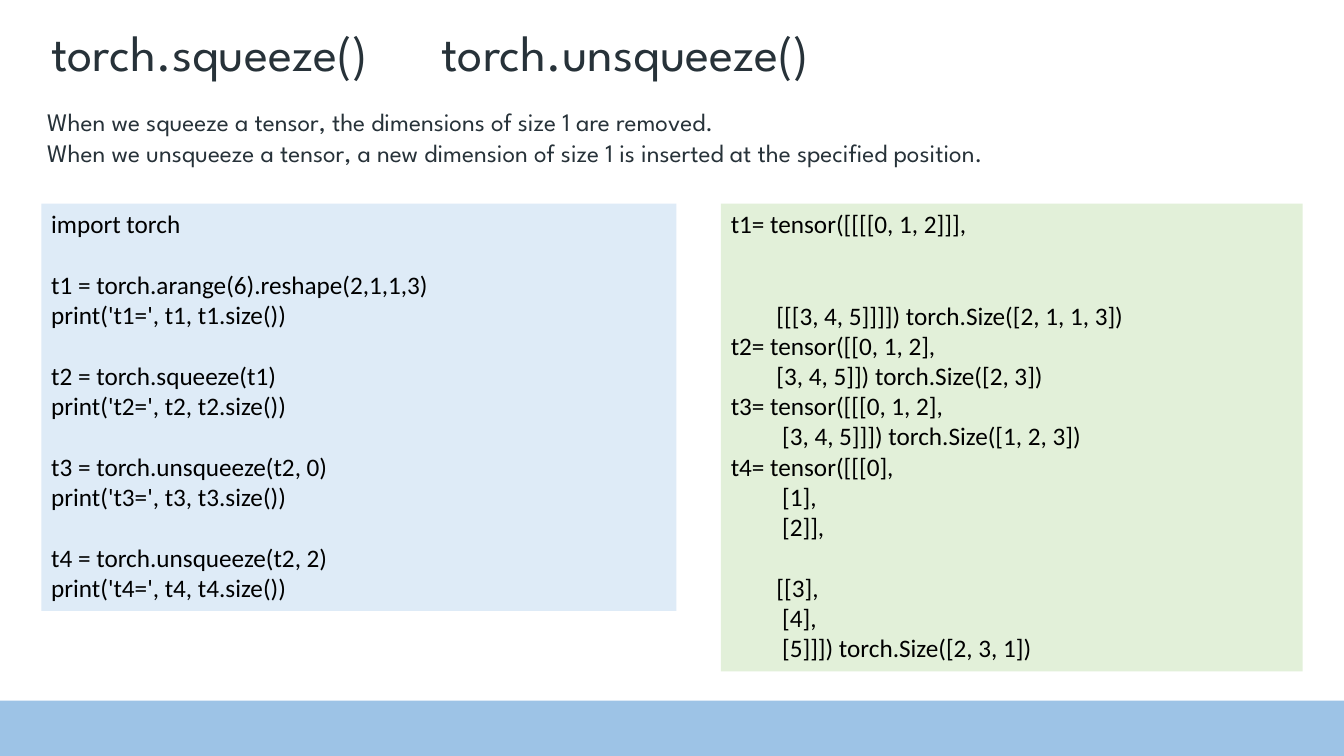
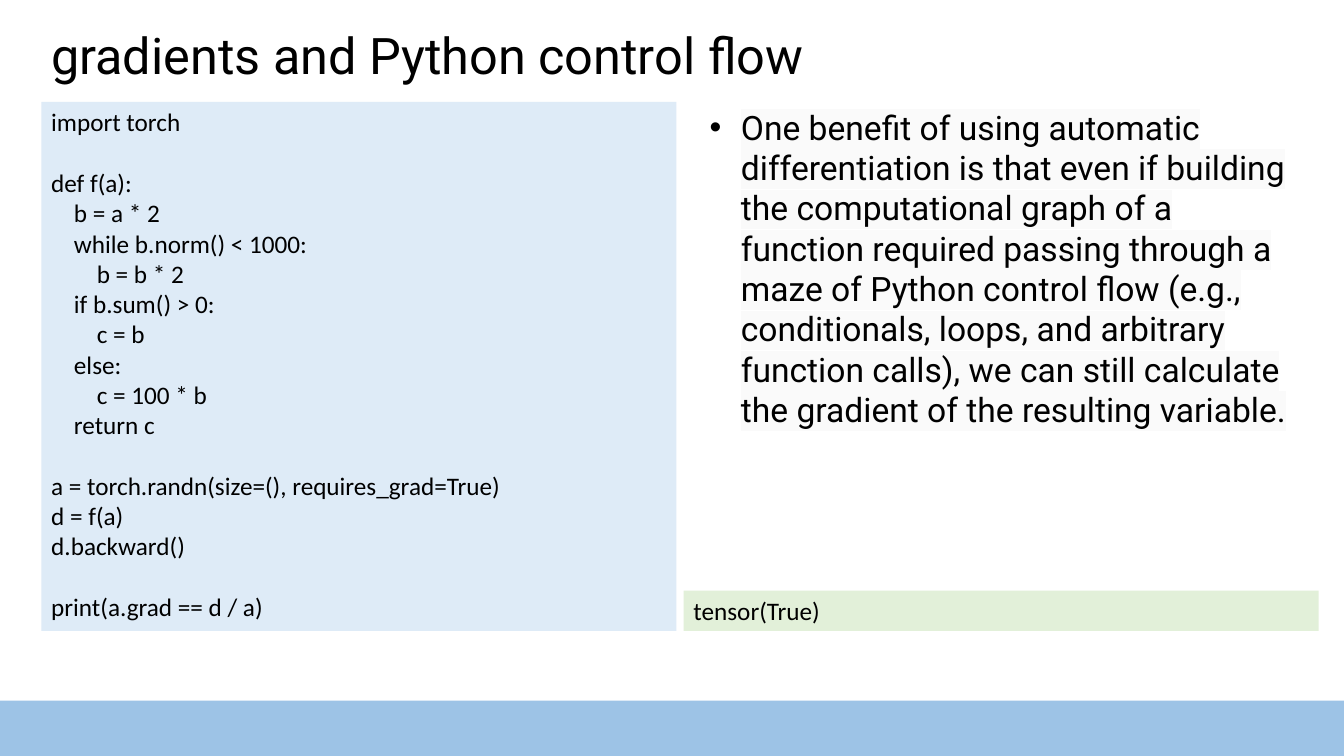
from lxml.etree import SubElement
from pptx import Presentation
from pptx.dml.color import RGBColor
from pptx.enum.shapes import MSO_SHAPE
from pptx.enum.text import MSO_ANCHOR, PP_ALIGN
from pptx.oxml.ns import qn
from pptx.util import Inches, Pt

WIDTH, HEIGHT = 13.33, 7.5
BLACK, SLATE = "000000", "273239"
BAND_BLUE, CODE_BLUE, OUTPUT_GREEN, HIGHLIGHT = "9DC3E6", "DEEBF7", "E2F0D9", "FAFAFA"
CODE_FONT, GEOMETRIC, GROTESQUE = "Calibri", "League Spartan", "Roboto"
LEFT, COLUMN = 0.41, 6.3
CODE_SIZE, CODE_LINE = 18, 21.8  # points
CODE_SPACE = 4.07  # points, width of one space of code


def rgb(value):
    return RGBColor.from_string(value)


class Deck:
    """Holds the shared style and the current slide."""

    def __init__(self):
        self.prs = Presentation()
        self.prs.slide_width = Inches(WIDTH)
        self.prs.slide_height = Inches(HEIGHT)
        self.slide = None

    def new_slide(self):
        self.slide = self.prs.slides.add_slide(self.prs.slide_layouts[6])
        self.panel(0, 6.95, WIDTH, 0.55, BAND_BLUE)

    def panel(self, x, y, w, h, fill):
        shape = self.slide.shapes.add_shape(
            MSO_SHAPE.RECTANGLE, Inches(x), Inches(y), Inches(w), Inches(h))
        shape.shadow.inherit = False
        shape.fill.solid()
        shape.fill.fore_color.rgb = rgb(fill)
        shape.line.fill.background()
        return shape

    def paragraphs(self, frame, lines, size, font, color):
        frame.word_wrap = True
        frame.vertical_anchor = MSO_ANCHOR.TOP
        for number, line in enumerate(lines):
            paragraph = frame.add_paragraph() if number else frame.paragraphs[0]
            paragraph.alignment = PP_ALIGN.LEFT
            run = paragraph.add_run()
            run.text = line
            run.font.size = Pt(size)
            run.font.name = font
            run.font.color.rgb = rgb(color)
        return frame.paragraphs

    def text(self, x, y, w, h, lines, size, font, color):
        box = self.slide.shapes.add_textbox(Inches(x), Inches(y), Inches(w), Inches(h))
        return self.paragraphs(box.text_frame, lines, size, font, color)

    def title(self, y, text, font, color, tab=None):
        heading = self.text(LEFT, y, 9.01, 0.71, [text], 36, font, color)[0]
        if tab:
            stops = SubElement(heading._p.get_or_add_pPr(), qn("a:tabLst"))
            SubElement(stops, qn("a:tab"), pos=str(Inches(tab)), algn="l")

    def code(self, x, y, w, h, fill, source):
        """Turn leading spaces into indents and empty lines into spacing."""
        rows, gap = [], 0
        for line in source.strip("\n").split("\n"):
            text = line.lstrip()
            if text:
                rows.append((text, len(line) - len(text), gap))
                gap = 0
            else:
                gap += 1
        frame = self.panel(x, y, w, h, fill).text_frame
        lines = [text for text, _, _ in rows]
        written = self.paragraphs(frame, lines, CODE_SIZE, CODE_FONT, BLACK)
        for paragraph, (_, indent, gap) in zip(written, rows):
            if gap:
                paragraph.space_before = Pt(gap * CODE_LINE)
            if indent:
                paragraph._p.get_or_add_pPr().set("marL", str(Pt(indent * CODE_SPACE)))

    def highlighted_bullet(self, x, y, w, h, text):
        bullet = self.text(x, y, w, h, [text], 24, GROTESQUE, BLACK)[0]
        props = bullet._p.get_or_add_pPr()
        props.set("marL", str(Inches(0.31)))
        props.set("indent", str(Inches(-0.31)))
        SubElement(props, qn("a:buFont"), typeface="Arial")
        SubElement(props, qn("a:buChar"), char="•")
        run_props = bullet.runs[0]._r.get_or_add_rPr()
        marker = SubElement(run_props, qn("a:highlight"))
        SubElement(marker, qn("a:srgbClr"), val=HIGHLIGHT)
        run_props.find(qn("a:solidFill")).addnext(marker)


SQUEEZE_CODE = """
import torch

t1 = torch.arange(6).reshape(2,1,1,3)
print('t1=', t1, t1.size())

t2 = torch.squeeze(t1)
print('t2=', t2, t2.size())

t3 = torch.unsqueeze(t2, 0)
print('t3=', t3, t3.size())

t4 = torch.unsqueeze(t2, 2)
print('t4=', t4, t4.size())
"""

SQUEEZE_OUTPUT = """
t1= tensor([[[[0, 1, 2]]],


        [[[3, 4, 5]]]]) torch.Size([2, 1, 1, 3])
t2= tensor([[0, 1, 2],
        [3, 4, 5]]) torch.Size([2, 3])
t3= tensor([[[0, 1, 2],
         [3, 4, 5]]]) torch.Size([1, 2, 3])
t4= tensor([[[0],
         [1],
         [2]],

        [[3],
         [4],
         [5]]]) torch.Size([2, 3, 1])
"""

GRADIENT_CODE = """
import torch

def f(a):
    b = a * 2
    while b.norm() < 1000:
        b = b * 2
    if b.sum() > 0:
        c = b
    else:
        c = 100 * b
    return c

a = torch.randn(size=(), requires_grad=True)
d = f(a)
d.backward()

print(a.grad == d / a)
"""


def main():
    deck = Deck()

    # Squeeze and unsqueeze
    deck.new_slide()
    deck.title(0.16, "torch.squeeze()\ttorch.unsqueeze()", GEOMETRIC, SLATE, tab=3.87)
    deck.text(0.37, 1.01, 12.51, 0.71, [
        "When we squeeze a tensor, the dimensions of size 1 are removed.",
        "When we unsqueeze a tensor, a new dimension of size 1 is inserted "
        "at the specified position.",
    ], 18, GEOMETRIC, SLATE)
    deck.code(LEFT, 2.02, COLUMN, 4.04, CODE_BLUE, SQUEEZE_CODE)
    deck.code(7.15, 2.02, 5.77, 4.64, OUTPUT_GREEN, SQUEEZE_OUTPUT)

    # Gradients through control flow
    deck.new_slide()
    deck.title(0.19, "gradients and Python control flow", GROTESQUE, BLACK)
    deck.code(LEFT, 1.01, COLUMN, 5.25, CODE_BLUE, GRADIENT_CODE)
    deck.code(6.78, 5.86, COLUMN, 0.4, OUTPUT_GREEN, "tensor(True)")
    deck.highlighted_bullet(
        6.94, 1.01, 5.98, 3.33,
        "One benefit of using automatic differentiation is that even if building "
        "the computational graph of a function required passing through a maze of "
        "Python control flow (e.g., conditionals, loops, and arbitrary function "
        "calls), we can still calculate the gradient of the resulting variable.")

    deck.prs.save("out.pptx")


if __name__ == "__main__":
    main()
